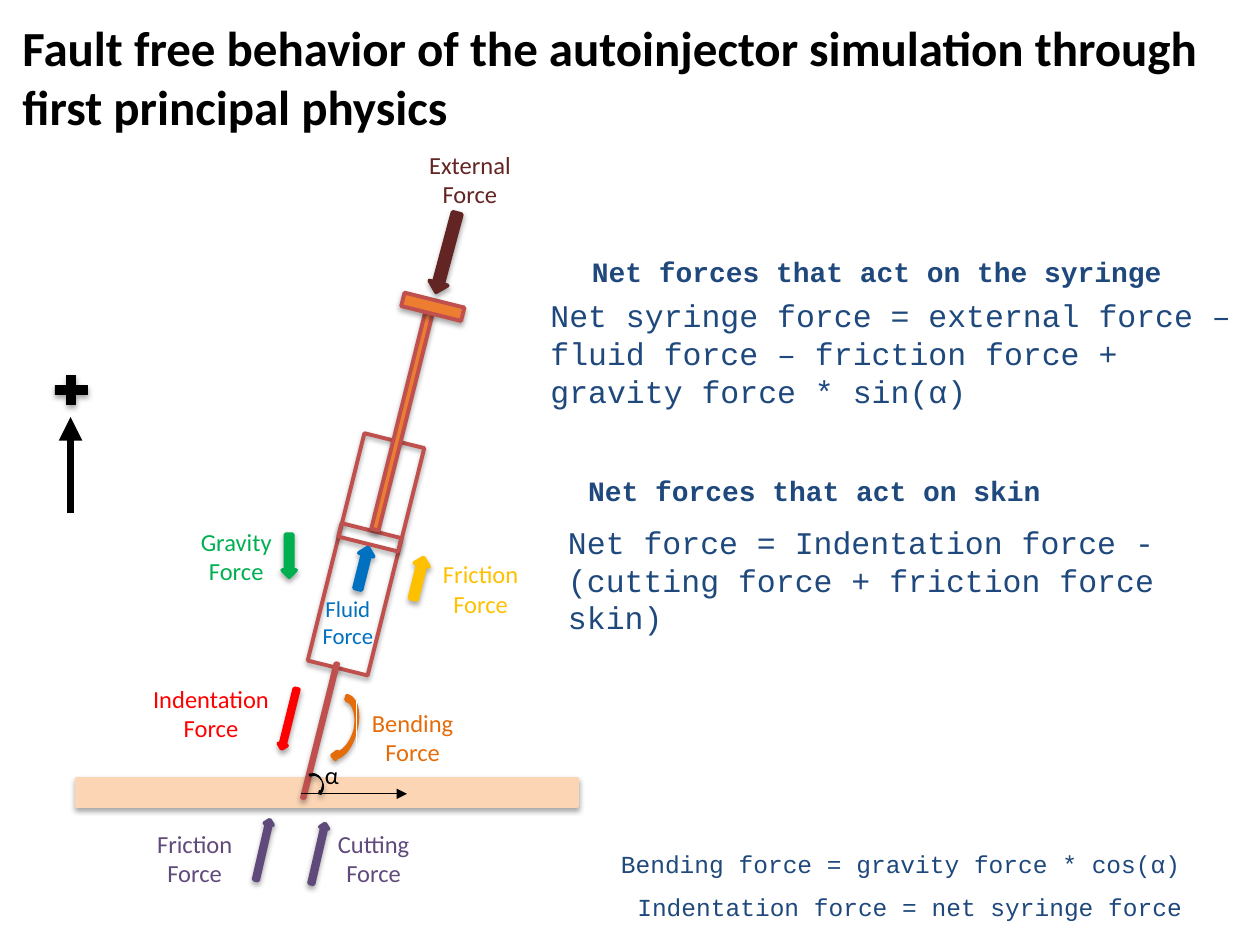
from dataclasses import dataclass

from lxml.etree import SubElement
from pptx import Presentation
from pptx.dml.color import RGBColor
from pptx.enum.shapes import MSO_CONNECTOR, MSO_SHAPE
from pptx.enum.text import MSO_ANCHOR, MSO_AUTO_SIZE, PP_ALIGN
from pptx.oxml.ns import qn
from pptx.util import Inches, Pt

COLUMNS, ROWS = 100, 75  # square grid cells over the slide
WIDTH, HEIGHT = Inches(10), Inches(7.5)
TILT = 14  # lean of the syringe in degrees
COLORS = {
    "black": "000000", "white": "FFFFFF", "navy": "1F497D", "maroon": "632523",
    "blue": "0070C0", "gold": "FFC000", "green": "00B050", "rust": "E46C0A",
    "red": "FF0000", "skin": "FCD5B5", "purple": "604A7B",
    "outline": "C0504D", "plunger": "ED7D31",
}


@dataclass
class Box:
    """Place in grid columns and rows."""
    left: float
    top: float
    width: float
    height: float


@dataclass
class Part:
    """Preset shape; the line takes the fill colour unless given."""
    kind: MSO_SHAPE
    box: Box
    fill: str | None
    line: str | None = None
    rotation: float = 0
    weight: float = 2.25


@dataclass
class Label:
    text: str
    box: Box
    color: str
    size: float = 14
    border: str | None = None


@dataclass
class Equation:
    text: str
    box: Box
    size: float
    bold: bool = False


def across(columns: float) -> int:
    return round(WIDTH * columns / COLUMNS)


def down(rows: float) -> int:
    return round(HEIGHT * rows / ROWS)


def place(box: Box) -> tuple[int, int, int, int]:
    return across(box.left), down(box.top), across(box.width), down(box.height)


def color(name: str) -> RGBColor:
    return RGBColor.from_string(COLORS[name])


def add_text(slide, text: str, box: Box, *, size: float, ink: str = "navy",
             font: str = "Calibri", bold: bool = False, align=PP_ALIGN.LEFT):
    shape = slide.shapes.add_textbox(*place(box))
    frame = shape.text_frame
    frame.word_wrap = True
    frame.auto_size = MSO_AUTO_SIZE.SHAPE_TO_FIT_TEXT
    frame.vertical_anchor = MSO_ANCHOR.TOP
    frame.text = text
    for paragraph in frame.paragraphs:
        paragraph.alignment = align
        paragraph.font.name = font
        paragraph.font.size = Pt(size)
        paragraph.font.bold = bold
        paragraph.font.color.rgb = color(ink)
    return shape


def add_shadow(shape) -> None:
    shape.shadow.inherit = False
    effects = shape.element.spPr.find(qn("a:effectLst"))
    shadow = SubElement(effects, qn("a:outerShdw"), blurRad=str(Pt(3.1)),
                        dist=str(Pt(1.8)), dir="5400000", rotWithShape="0")
    tone = SubElement(shadow, qn("a:srgbClr"), val=COLORS["black"])
    SubElement(tone, qn("a:alpha"), val="35000")


def add_part(slide, part: Part) -> None:
    shape = slide.shapes.add_shape(part.kind, *place(part.box))
    shape.rotation = part.rotation
    if part.fill:
        shape.fill.solid()
        shape.fill.fore_color.rgb = color(part.fill)
    else:
        shape.fill.background()
    shape.line.color.rgb = color(part.line or part.fill)
    shape.line.width = Pt(part.weight)
    add_shadow(shape)


def add_arrow(slide, start: tuple[float, float], end: tuple[float, float],
              weight: float) -> None:
    connector = slide.shapes.add_connector(
        MSO_CONNECTOR.STRAIGHT, across(start[0]), down(start[1]),
        across(end[0]), down(end[1]))
    connector.line.color.rgb = color("black")
    connector.line.width = Pt(weight)
    SubElement(connector.line._get_or_add_ln(), qn("a:tailEnd"), type="triangle")
    SubElement(connector.element.spPr, qn("a:effectLst"))


RECTANGLE, ARROW = MSO_SHAPE.RECTANGLE, MSO_SHAPE.DOWN_ARROW
UPWARD = 180 + TILT

PARTS = [
    # Sign of the positive direction
    Part(MSO_SHAPE.MATH_PLUS, Box(3.9, 29.4, 3.5, 3.1), "black", weight=0.5),
    # Barrel, stopper, plunger rod and plunger head
    Part(RECTANGLE, Box(26.6, 34.7, 4.9, 18.6), None, "outline", TILT),
    Part(RECTANGLE, Box(26.9, 42.1, 4.9, 1.1), None, "outline", TILT),
    Part(RECTANGLE, Box(31.6, 24.6, 0.6, 17.7), "plunger", "outline", TILT),
    Part(RECTANGLE, Box(31.9, 23.8, 4.9, 1.1), "plunger", "outline", TILT),
    # Forces on the syringe
    Part(ARROW, Box(28.2, 43.4, 1.2, 3.4), "blue", rotation=UPWARD),
    Part(ARROW, Box(32.6, 44.2, 1.2, 3.4), "gold", rotation=UPWARD),
    Part(ARROW, Box(22.4, 42.4, 1.1, 3.4), "green"),
    Part(MSO_SHAPE.CURVED_LEFT_ARROW, Box(26.9, 55.3, 1.3, 5.2), "rust", rotation=TILT),
    Part(ARROW, Box(22.6, 54.6, 0.7, 4.9), "red", rotation=TILT),
    # Skin, external force, needle and angle mark
    Part(RECTANGLE, Box(6.1, 61.8, 39.7, 2.2), "skin"),
    Part(ARROW, Box(34.7, 16.8, 1.5, 6.5), "maroon", rotation=15),
    Part(RECTANGLE, Box(25.3, 52.5, 0.2, 11), "plunger", "outline", TILT),
    Part(MSO_SHAPE.CURVED_DOWN_ARROW, Box(24.3, 61.8, 1.9, 0.7), "black",
         rotation=64, weight=0.5),
    # Forces on the skin
    Part(ARROW, Box(24.9, 65.3, 0.7, 4.9), "purple", rotation=193),
    Part(ARROW, Box(20.5, 65, 0.7, 4.9), "purple", rotation=193),
]

LABELS = [
    Label("Fluid Force", Box(23.7, 46.7, 7.8, 5.4), "blue", 13),
    Label("External\nForce", Box(32.5, 11.4, 9.6, 5.7), "maroon"),
    Label("Friction Force", Box(34.1, 43.9, 8.1, 4.9), "gold"),
    Label("Gravity Force", Box(14.7, 41.3, 8.1, 4.9), "green"),
    Label("Bending Force", Box(28.3, 55.7, 8.9, 5.7), "rust", border="white"),
    Label("Indentation\nForce", Box(10.8, 53.8, 11.9, 5.7), "red"),
    Label("Cutting Force", Box(25.2, 65.3, 8.9, 5.7), "purple"),
    Label("Friction Force", Box(11, 65.3, 8.9, 5.7), "purple"),
]

EQUATIONS = [
    Equation("Net forces that act on the syringe", Box(46, 19.7, 50.7, 3.7), 16, True),
    Equation("Net syringe force = external force – fluid force – friction force "
             "+ gravity force * sin(α)", Box(42.7, 23, 56.7, 10.1), 18),
    Equation("Net forces that act on skin", Box(45.7, 37.1, 50.7, 3.7), 16, True),
    Equation("Net force = Indentation force - (cutting force + friction force skin)",
             Box(44.1, 41, 50.4, 10.1), 18),
    Equation("Bending force = gravity force * cos(α)", Box(48.3, 66.9, 51.7, 3.4), 14),
    Equation("Indentation force = net syringe force", Box(49.6, 70.3, 53.1, 3.4), 14),
]


def main() -> None:
    presentation = Presentation()
    presentation.slide_width, presentation.slide_height = WIDTH, HEIGHT
    slide = presentation.slides.add_slide(presentation.slide_layouts[6])

    add_text(slide, "Fault free behavior of the autoinjector simulation through "
             "first principal physics", Box(0.8, 0.9, 97.5, 10.4),
             size=28, ink="black", bold=True)

    # Force diagram
    for part in PARTS:
        add_part(slide, part)
    add_arrow(slide, (5.6, 40.7), (5.6, 33.1), 4.5)
    add_arrow(slide, (23.9, 63), (32.3, 63), 0.5)
    for label in LABELS:
        shape = add_text(slide, label.text, label.box, size=label.size,
                         ink=label.color, align=PP_ALIGN.CENTER)
        if label.border:
            shape.line.color.rgb = color(label.border)
            shape.line.width = Pt(0.75)
    add_text(slide, "α", Box(24.8, 59.8, 3.5, 2.9), size=14, ink="black")

    # Force equations
    for equation in EQUATIONS:
        add_text(slide, equation.text, equation.box, size=equation.size,
                 font="Courier New", bold=equation.bold)

    presentation.save("out.pptx")


if __name__ == "__main__":
    main()
